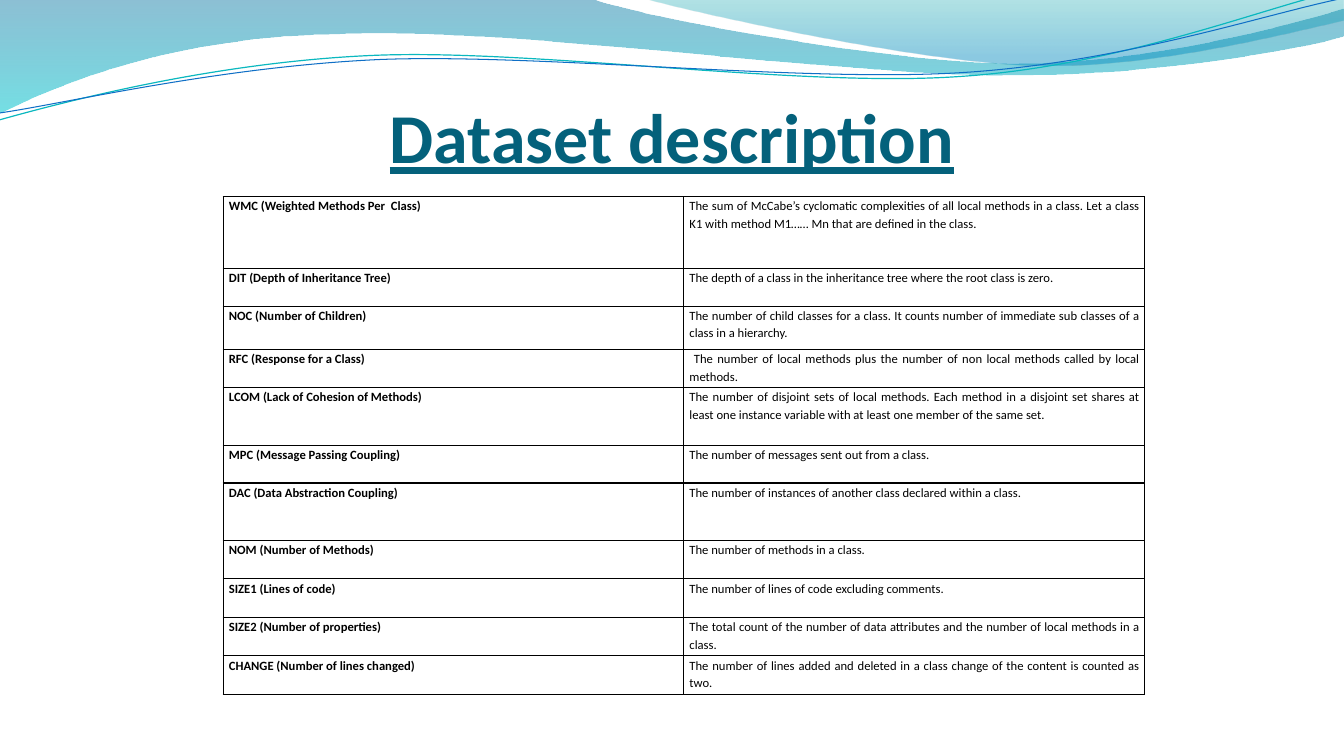
from lxml import etree
from pptx import Presentation
from pptx.dml.color import RGBColor
from pptx.enum.text import MSO_ANCHOR, PP_ALIGN
from pptx.oxml.ns import qn
from pptx.util import Pt

CENTER, JUSTIFY = PP_ALIGN.CENTER, PP_ALIGN.JUSTIFY
MIDDLE = MSO_ANCHOR.MIDDLE
TITLE_ONLY = 5
FONT = "Calibri"
LINE_TILT = -2.7

METRICS = [  # name, description, row height
    ("WMC (Weighted Methods Per  Class)",
     "The sum of McCabe’s cyclomatic complexities of all local methods in a class. "
     "Let a class K1 with method M1…… Mn that are defined in the class.", 51.2),
    ("DIT (Depth of Inheritance Tree)",
     "The depth of a class in the inheritance tree where the root class is zero.", 27),
    ("NOC (Number of Children)",
     "The number of child classes for a class. It counts number of immediate "
     "sub classes of a class in a hierarchy.", 31),
    ("RFC (Response for a Class)",
     " The number of local methods plus the number of non local methods "
     "called by local methods.", 27.3),
    ("LCOM (Lack of Cohesion of Methods)",
     "The number of disjoint sets of local methods. Each method in a disjoint set "
     "shares at least one instance variable with at least one member of the same set.", 41.2),
    ("MPC (Message Passing Coupling)",
     "The number of messages sent out from a class.", 26.8),
    ("DAC (Data Abstraction Coupling)",
     "The number of instances of another class declared within a class.", 41.2),
    ("NOM (Number of Methods)", "The number of methods in a class.", 27.3),
    ("SIZE1 (Lines of code)", "The number of lines of code excluding comments.", 27.5),
    ("SIZE2 (Number of properties)",
     "The total count of the number of data attributes and the number of "
     "local methods in a class.", 27.5),
    ("CHANGE (Number of lines changed)",
     "The number of lines added and deleted in a class change of the content "
     "is counted as two.", 27.5),
]

# Wave outlines in points: one pair is a line end, three pairs are a curve
BACK_WAVE = [
    [(0, 0)], [(422.6, -0.7)],
    [(456.5, 12.2), (637.2, 45.4), (727.9, 45.4)],
    [(819.4, 45.4), (920.2, 18.7), (959.8, 6.5)],
    [(961.2, 25.9)],
    [(943.9, 31.7), (835.2, 54.7), (715.7, 54)],
    [(596.9, 54), (366.5, 20.2), (247, 24.5)],
    [(123.1, 25.9), (43.9, 59.8), (-0.7, 81.4)],
]
FRONT_WAVE = [
    [(460, -0.7)],
    [(488.9, 7.9), (654.5, 44.6), (738, 46.8)],
    [(821.5, 49.7), (923, 23), (959.8, 15.1)],
    [(959.8, 0)],
]
# The two thin lines are given before their tilt
TEAL_LINE = [
    [(-2.3, 63.1)],
    [(45, 52.3), (152.1, 29.2), (266, 29.6)],
    [(379.8, 29.9), (567.7, 66.8), (683.2, 64.4)],
    [(798.6, 62.6), (902.6, 25.7), (960.1, 15.5)],
]
BLUE_LINE = [
    [(-1.3, 58)],
    [(44.4, 53.7), (157.1, 32.3), (272.4, 32.7)],
    [(386.9, 33.8), (572.2, 63.4), (687, 61.6)],
    [(802.3, 59.8), (904.7, 30), (962, 21.2)],
]


def rgb(hex_color):
    return RGBColor.from_string(hex_color)


def add_outline(slide, outline, closed):
    points = [(Pt(x), Pt(y)) for segment in outline for x, y in segment]
    builder = slide.shapes.build_freeform(*points[0])
    builder.add_line_segments(points[1:], close=closed)
    outline_shape = builder.convert_to_shape()
    outline_shape.shadow.inherit = False

    # Join the three points of each curve into one Bézier segment
    line_ends = iter(list(outline_shape.element.spPr.iter(qn("a:lnTo"))))
    for segment in outline[1:]:
        ends = [next(line_ends) for _ in segment]
        if len(ends) == 3:
            curve = etree.Element(qn("a:cubicBezTo"))
            ends[0].addprevious(curve)
            for end in ends:
                curve.append(end[0])
                end.getparent().remove(end)
    return outline_shape


def add_wave(slide, outline, stops):
    wave = add_outline(slide, outline, True)
    wave.line.fill.background()
    wave.fill.gradient()
    wave.fill.gradient_angle = 270
    for stop, (position, color, opacity) in zip(wave.fill.gradient_stops, stops):
        stop.position = position
        stop.color.rgb = rgb(color)
    for color_node, (_, _, opacity) in zip(wave.element.spPr.iter(qn("a:srgbClr")), stops):
        etree.SubElement(color_node, qn("a:alpha"), val=str(opacity * 1000))


def add_wave_line(slide, outline, color, width):
    wave_line = add_outline(slide, outline, False)
    wave_line.rotation = LINE_TILT
    wave_line.fill.background()
    wave_line.line.color.rgb = rgb(color)
    wave_line.line.width = Pt(width)


def format_run(paragraph, size, color, bold):
    font = paragraph.runs[0].font
    font.name, font.size, font.bold = FONT, Pt(size), bold
    font.color.rgb = rgb(color)
    return font


def set_title(slide, text):
    title = slide.shapes.title
    title.left, title.top, title.width, title.height = Pt(48), Pt(55.5), Pt(864), Pt(90)
    frame = title.text_frame
    frame.text = text
    frame.vertical_anchor = MIDDLE
    paragraph = frame.paragraphs[0]
    paragraph.alignment = CENTER
    paragraph.line_spacing = 0.9
    format_run(paragraph, 50, "04617B", True).underline = True


def add_borders(cell):
    properties = cell._tc.get_or_add_tcPr()
    for position, side in enumerate(("a:lnL", "a:lnR", "a:lnT", "a:lnB")):
        border = etree.Element(qn(side), w=str(Pt(1)))
        fill = etree.SubElement(border, qn("a:solidFill"))
        etree.SubElement(fill, qn("a:srgbClr"), val="000000")
        properties.insert(position, border)


def fill_cell(cell, text, bold):
    cell.fill.background()
    cell.margin_left = cell.margin_right = Pt(4)
    cell.margin_top = cell.margin_bottom = 0
    cell.text_frame.text = text
    paragraph = cell.text_frame.paragraphs[0]
    paragraph.alignment = JUSTIFY
    paragraph.line_spacing = 1.15
    format_run(paragraph, 9, "000000", bold)
    add_borders(cell)


def add_metrics_table(slide):
    total_height = sum(height for _, _, height in METRICS)
    table = slide.shapes.add_table(len(METRICS), 2, Pt(159.5), Pt(140.5),
                                   Pt(658), Pt(total_height)).table
    table.first_row = table.horz_banding = False
    for row, (name, description, height) in enumerate(METRICS):
        table.rows[row].height = Pt(height)
        fill_cell(table.cell(row, 0), name, True)
        fill_cell(table.cell(row, 1), description, False)


def main():
    deck = Presentation()
    deck.slide_width, deck.slide_height = Pt(960), Pt(540)
    slide = deck.slides.add_slide(deck.slide_layouts[TITLE_ONLY])

    # Wave banner
    add_wave(slide, BACK_WAVE, [(0, "0074A1", 45), (1, "00C6CF", 55)])
    add_wave(slide, FRONT_WAVE, [(0, "00A1A9", 30), (0.8, "008BBF", 45)])
    add_wave_line(slide, TEAL_LINE, "0AB8BF", 0.85)
    add_wave_line(slide, BLUE_LINE, "0F6FC6", 0.75)

    # Title and metrics
    set_title(slide, "Dataset description")
    add_metrics_table(slide)
    deck.save("out.pptx")


if __name__ == "__main__":
    main()
